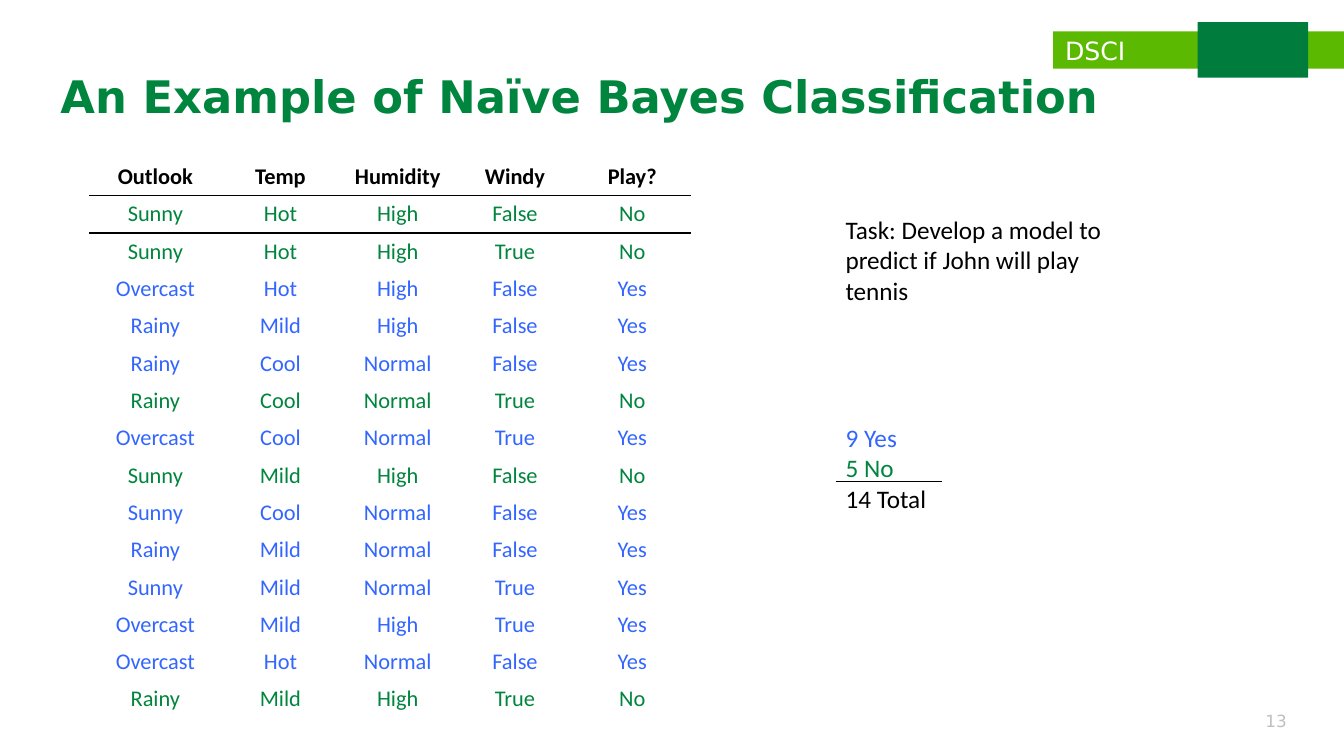
import pptx
import pptx.dml.color
import pptx.enum.shapes
import pptx.enum.text
import pptx.oxml
import pptx.oxml.ns
import pptx.util

Cm = pptx.util.Cm
Pt = pptx.util.Pt
RGBColor = pptx.dml.color.RGBColor
ALIGN = pptx.enum.text.PP_ALIGN
ANCHOR = pptx.enum.text.MSO_ANCHOR

BLACK = RGBColor(0x00, 0x00, 0x00)
WHITE = RGBColor(0xFF, 0xFF, 0xFF)
GREY = RGBColor(0xBF, 0xBF, 0xBF)
LIME = RGBColor(0x5A, 0xB9, 0x00)
DARK_GREEN = RGBColor(0x00, 0x7D, 0x3C)
GREEN = RGBColor(0x00, 0x85, 0x3E)
BLUE = RGBColor(0x33, 0x66, 0xFF)

HEADING_FONT = "DejaVu Sans"
BODY_FONT = "Calibri"
PLAY_COLOURS = {"Yes": BLUE, "No": GREEN}
PLAIN_TABLE_STYLE = "{2D5ABB26-0587-4C30-8999-92F81FD0307C}"

HEADER = "Outlook Temp Humidity Windy Play?".split()
DAYS = [day.split() for day in (
    "Sunny Hot High False No",
    "Sunny Hot High True No",
    "Overcast Hot High False Yes",
    "Rainy Mild High False Yes",
    "Rainy Cool Normal False Yes",
    "Rainy Cool Normal True No",
    "Overcast Cool Normal True Yes",
    "Sunny Mild High False No",
    "Sunny Cool Normal False Yes",
    "Rainy Mild Normal False Yes",
    "Sunny Mild Normal True Yes",
    "Overcast Mild High True Yes",
    "Overcast Hot Normal False Yes",
    "Rainy Mild High True No",
)]


def set_attributes(target, values):
    for name, value in values.items():
        setattr(target, name, value)


def write_para(para, text, size, colour, font=BODY_FONT, bold=False, align=ALIGN.LEFT):
    para.alignment = align
    span = para.add_run()
    span.text = text
    set_attributes(span.font, {"name": font, "size": Pt(size), "bold": bold})
    span.font.color.rgb = colour


def add_text(shapes, place, lines, size, font=BODY_FONT, align=ALIGN.LEFT, anchor=ANCHOR.TOP):
    """Add a text box; lines holds pairs of text and colour."""
    box = shapes.add_textbox(*map(Cm, place))
    frame = box.text_frame
    set_attributes(frame, {"word_wrap": True, "vertical_anchor": anchor})
    for index, (text, colour) in enumerate(lines):
        para = frame.add_paragraph() if index else frame.paragraphs[0]
        write_para(para, text, size, colour, font, align=align)


def add_block(page, place, colour):
    block = page.shapes.add_shape(pptx.enum.shapes.MSO_SHAPE.RECTANGLE, *map(Cm, place))
    block.shadow.inherit = False
    block.fill.solid()
    block.fill.fore_color.rgb = colour
    block.line.fill.background()


def add_title(page, text):
    title = page.shapes.title
    set_attributes(title, {"left": Cm(1.27), "top": Cm(1.02),
                           "width": Cm(28.96), "height": Cm(2.95)})
    set_attributes(title.text_frame, {"word_wrap": True, "vertical_anchor": ANCHOR.MIDDLE,
                                      "auto_size": pptx.enum.text.MSO_AUTO_SIZE.NONE})
    para = title.text_frame.paragraphs[0]
    para.line_spacing = 0.9
    write_para(para, text, 32, GREEN, HEADING_FONT, bold=True)


def add_border(cell, side):
    border = pptx.oxml.parse_xml(
        f'<a:{side} {pptx.oxml.ns.nsdecls("a")} w="{Pt(1)}">'
        f'<a:solidFill><a:srgbClr val="{BLACK}"/></a:solidFill></a:{side}>')
    cell._tc.get_or_add_tcPr().insert(0, border)


def add_weather_table(page):
    rows = [HEADER] + DAYS
    frame = page.shapes.add_table(len(rows), len(HEADER),
                                  Cm(2.24), Cm(3.96), Cm(15.17), Cm(14.13))
    table = frame.table
    set_attributes(table, {"first_row": False, "horz_banding": False})
    table._tbl.tblPr.find(pptx.oxml.ns.qn("a:tableStyleId")).text = PLAIN_TABLE_STYLE
    for index, column in enumerate(table.columns):
        column.width = Cm(2.955 if index else 3.35)
    for index, values in enumerate(rows):
        is_header = index == 0
        table.rows[index].height = Cm(0.97 if is_header else 0.94)
        colour = PLAY_COLOURS.get(values[-1], BLACK)
        for cell, text in zip(table.rows[index].cells, values):
            cell.vertical_anchor = ANCHOR.BOTTOM
            cell.fill.solid()
            cell.fill.fore_color.rgb = WHITE
            write_para(cell.text_frame.paragraphs[0], text, 16, colour,
                       bold=is_header, align=ALIGN.CENTER)
            if index < 2:
                add_border(cell, "lnB" if is_header else "lnT")


def add_rule(shapes, left, right, top):
    rule = shapes.add_connector(pptx.enum.shapes.MSO_CONNECTOR.STRAIGHT,
                                Cm(left), Cm(top), Cm(right), Cm(top))
    rule.line.color.rgb = BLACK
    rule.line.width = Pt(0.5)
    rule._element.spPr.append(
        pptx.oxml.parse_xml(f'<a:effectLst {pptx.oxml.ns.nsdecls("a")}/>'))


def add_tally(page):
    shapes = page.shapes.add_group_shape().shapes
    counts = [(f"{sum(day[-1] == play for day in DAYS)} {play}", colour)
              for play, colour in PLAY_COLOURS.items()]
    add_text(shapes, (21.06, 10.52, 5.92, 2.57),
             counts + [(f"{len(DAYS)} Total", BLACK)], 18)
    add_rule(shapes, 21.06, 23.75, 12.12)


def main():
    deck = pptx.Presentation()
    set_attributes(deck, {"slide_width": Cm(33.87), "slide_height": Cm(19.05)})
    page = deck.slides.add_slide(deck.slide_layouts.get_by_name("Title Only"))

    # Course banner
    add_block(page, (26.54, 0.79, 7.33, 0.94), LIME)
    add_text(page.shapes, (26.59, 0.76, 3.48, 1.02), [("DSCI", WHITE)], 18, HEADING_FONT)
    add_block(page, (30.18, 0.56, 2.79, 1.4), DARK_GREEN)

    # Title and data
    add_title(page, "An Example of Naïve Bayes Classification")
    add_weather_table(page)

    # Task and class counts
    task = "Task: Develop a model to predict if John will play tennis"
    add_text(page.shapes, (21.06, 5.28, 7.19, 2.57), [(task, BLACK)], 18)
    add_tally(page)

    # Page number
    add_text(page.shapes, (31.5, 17.65, 1.32, 1.02), [("13", GREY)], 12, HEADING_FONT,
             ALIGN.CENTER, ANCHOR.MIDDLE)

    deck.save("out.pptx")


if __name__ == "__main__":
    main()
